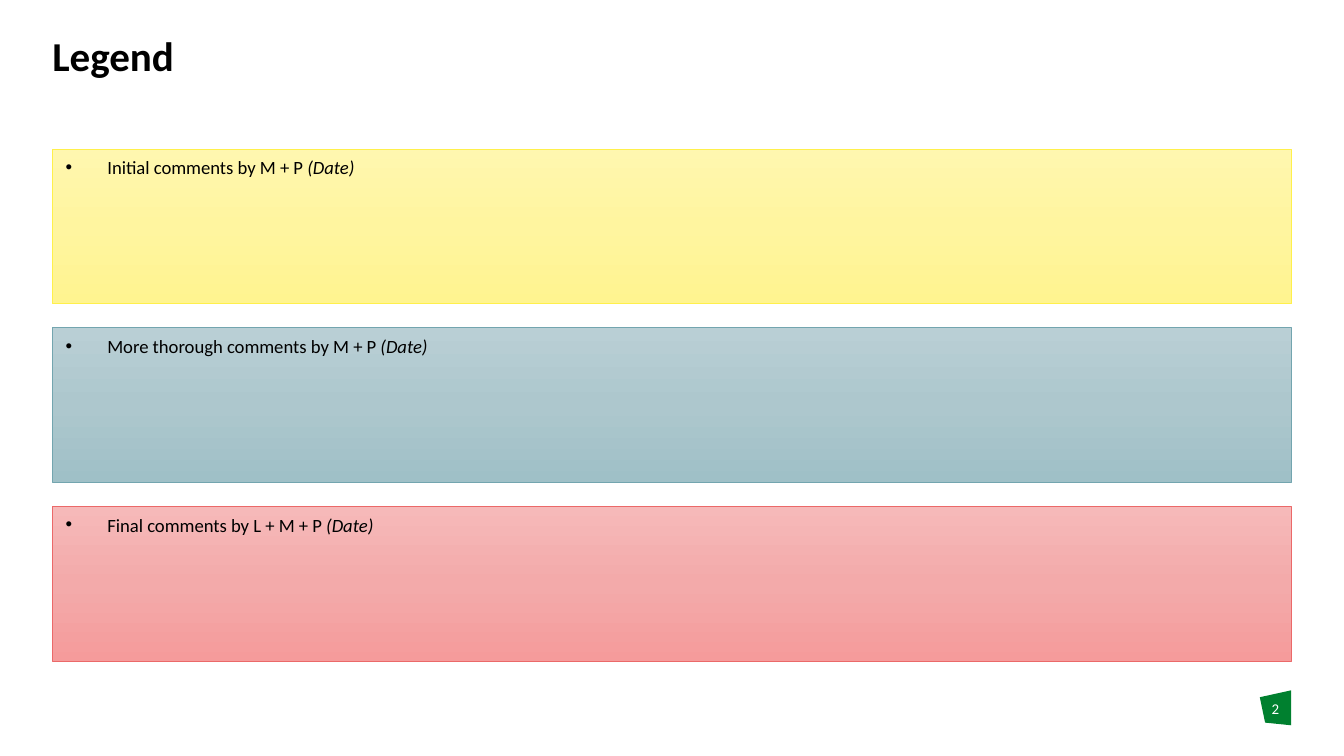
from copy import deepcopy
from lxml.etree import SubElement as Sub
from pptx import Presentation
from pptx.dml.color import RGBColor as RGB
from pptx.enum.shapes import MSO_SHAPE as Shape
from pptx.enum.text import MSO_ANCHOR as Anchor, MSO_AUTO_SIZE as Auto, PP_ALIGN as Align
from pptx.oxml.ns import qn
from pptx.util import Cm, Pt


def color(code):
    return RGB.from_string(code)


def write(para, text, size, code="000000", **look):
    run = para.add_run()
    run.text = text
    for key, val in {"name": "Calibri", "size": Pt(size), **look}.items():
        setattr(run.font, key, val)
    run.font.color.rgb = color(code)
    return run


deck = Presentation()
deck.slide_width, deck.slide_height = Cm(25.4), Cm(14.29)
slide = deck.slides.add_slide(deck.slide_layouts[5])
shapes = slide.shapes
left, wide = Cm(0.99), Cm(23.42)
flat = {"margin_left": 0, "margin_right": 0, "margin_top": 0, "margin_bottom": 0,
        "word_wrap": True, "auto_size": Auto.NONE}

pen = shapes.build_freeform(Cm(23.81), Cm(13.18))
pen.add_line_segments([(Cm(x), Cm(y)) for x, y in
                       [(24.4, 13.05), (24.4, 13.71), (23.91, 13.66)]])
badge = pen.convert_to_shape()
badge.shadow.inherit = False
badge.fill.solid()
badge.fill.fore_color.rgb = color("00802F")
badge.line.fill.background()

title = shapes.title
for key, val in {"left": left, "top": Cm(0.71), "width": wide, "height": Cm(0.79)}.items():
    setattr(title, key, val)
page = shapes.add_textbox(Cm(23.81), Cm(13.23), Cm(0.59), Cm(0.76))
for box, anchor in [(title, Anchor.MIDDLE), (page, Anchor.TOP)]:
    for key, val in {**flat, "vertical_anchor": anchor}.items():
        setattr(box.text_frame, key, val)

para = title.text_frame.paragraphs[0]
para.alignment, para.line_spacing = Align.LEFT, 0.9
write(para, "Legend", 22, bold=True)

para = page.text_frame.paragraphs[0]
para.alignment = Align.CENTER
write(para, "2", 8, "FFFFFF")

bands = [
    ("Initial comments by M + P ", ["FFF7AF", "FFF59F", "FFF490"], "FFF04B"),
    ("More thorough comments by M + P ", ["B9CFD5", "ADC7CD", "9FC0C7"], "73A5AF"),
    ("Final comments by L + M + P ", ["F6B9B9", "F3AAAA", "F59B9B"], "EB6969"),
]
for row, (text, tones, edge) in enumerate(bands):
    band = shapes.add_shape(Shape.RECTANGLE, left, Cm(2.82 + 3.38 * row), wide, Cm(2.92))
    band.shadow.inherit = False
    band.fill.gradient()
    band.fill.gradient_angle = 270
    first = band._element.spPr.find(".//" + qn("a:gs"))
    first.addnext(deepcopy(first))
    for stop, tone, pos in zip(band.fill.gradient_stops, tones, [0, 0.5, 1]):
        stop.color.rgb = color(tone)
        stop.position = pos
    band.line.color.rgb = color(edge)
    band.line.width = Pt(0.5)

    frame = band.text_frame
    frame.word_wrap, frame.vertical_anchor = True, Anchor.TOP
    para = frame.paragraphs[0]
    para.alignment = Align.LEFT
    props = para._p.get_or_add_pPr()
    props.set("marL", str(Cm(0.79)))
    props.set("indent", str(-Cm(0.79)))
    Sub(props, qn("a:buFont"), typeface="Arial")
    Sub(props, qn("a:buChar"), char="•")
    write(para, text, 10)
    write(para, "(Date)", 10, italic=True)

deck.save("out.pptx")
